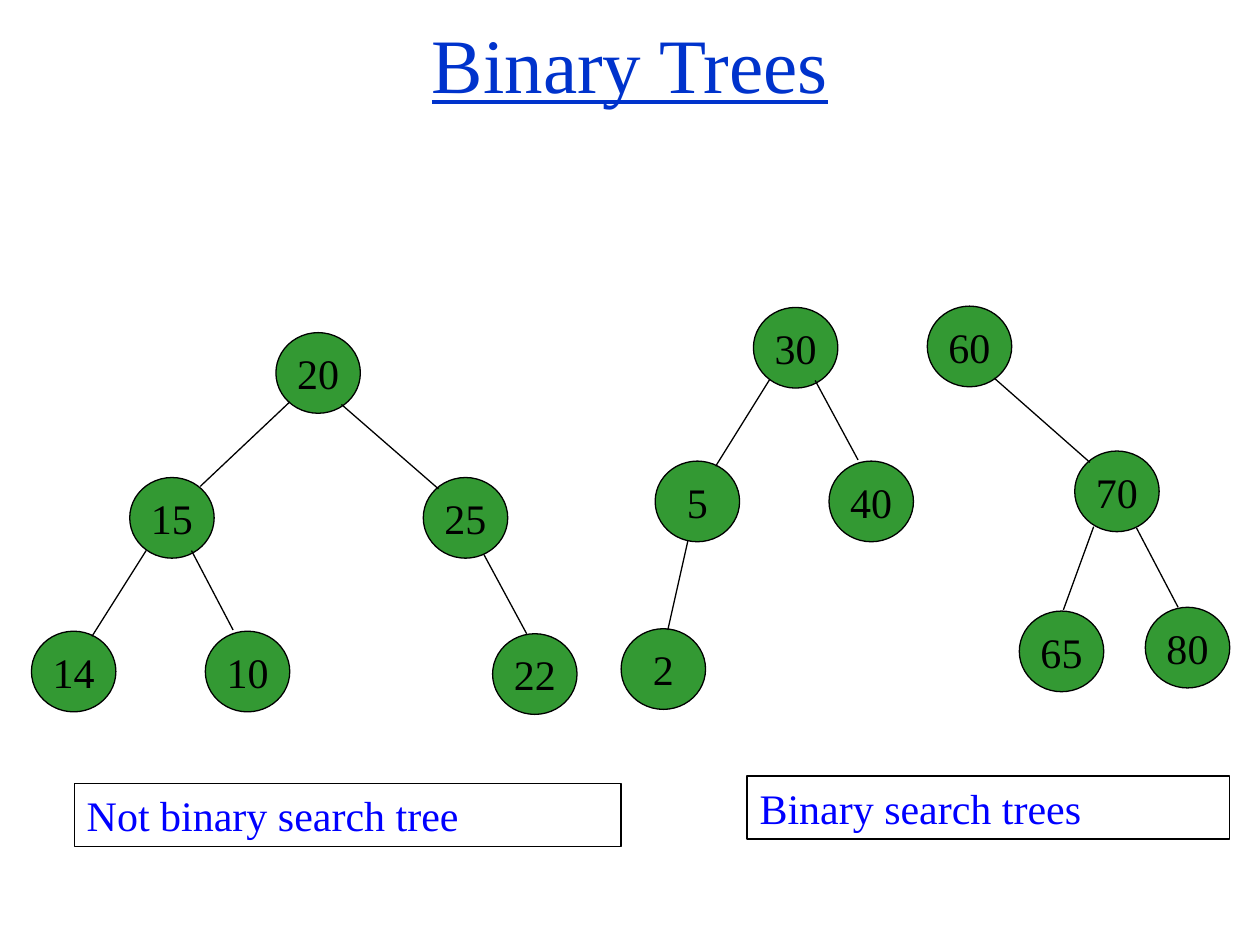
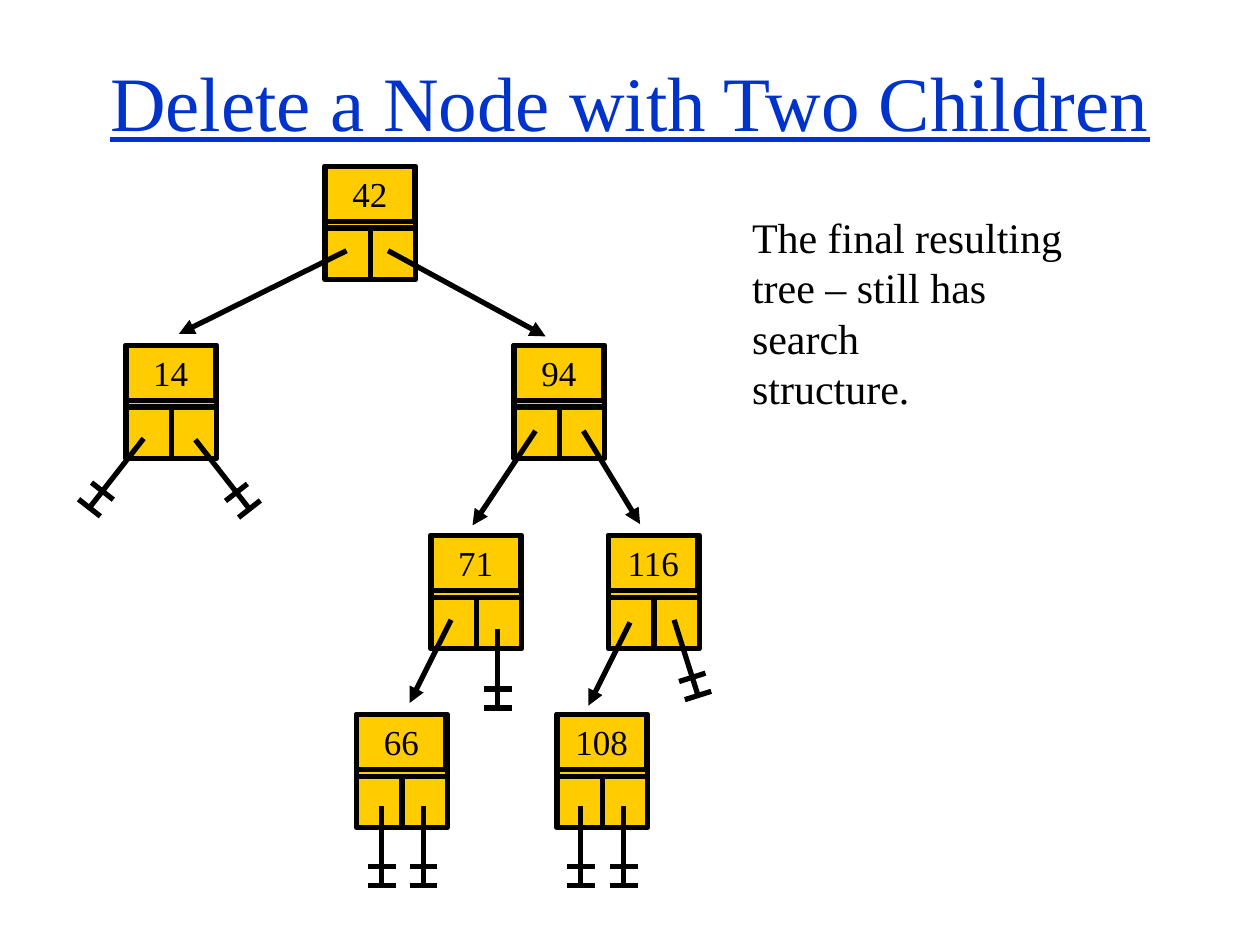
import math
from lxml import etree
from pptx import Presentation
from pptx import util as u
from pptx.dml.color import RGBColor
from pptx.enum import shapes, text
from pptx.oxml.ns import qn

PX = 9144  # 100 px to the inch
FONT = "Times New Roman"
BLACK = RGBColor(0x00, 0x00, 0x00)
TITLE_BLUE = RGBColor(0x00, 0x33, 0xCC)
LABEL_BLUE = RGBColor(0x00, 0x00, 0xFF)
GREEN = RGBColor(0x33, 0x99, 0x33)
YELLOW = RGBColor(0xFF, 0xCC, 0x00)
THIN, THICK = 0.75, 3

# Slide 1: circles as (value, left, top), lines as (x1, y1, x2, y2)
CIRCLE = (67, 64)
CIRCLES = [
    ("20", 219, 264), ("15", 103, 379), ("25", 336, 379),
    ("14", 25, 501), ("10", 163, 501), ("22", 391, 503),
    ("30", 598, 244), ("5", 520, 366), ("40", 658, 366), ("2", 493, 499),
    ("60", 736, 243), ("70", 853, 358), ("80", 909, 482), ("65", 809, 485),
]
BRANCHES = [
    (230, 319, 159, 386), (271, 321, 348, 388), (116, 437, 73, 505),
    (152, 437, 185, 500), (384, 440, 418, 503),
    (611, 301, 568, 370), (647, 302, 681, 365), (546, 429, 530, 500),
    (789, 300, 865, 367), (902, 419, 935, 482), (868, 418, 844, 484),
]
CAPTIONS = [
    ("Not binary search tree", (59, 622, 434, 50)),
    ("Binary search trees", (593, 616, 383, 50)),
]

# Slide 2: records with a value field above two pointer fields
RECORDS = [
    ("14", 100, 274), ("42", 258, 132), ("94", 408, 274), ("71", 342, 425),
    ("116", 483, 425), ("108", 442, 567), ("66", 283, 567),
]
FIELDS = [(0, 0, 72, 49), (0, 49, 36, 41), (36, 49, 36, 41)]
VALUE_FIELD = (0, 0, 71, 44)
POINTERS = [
    (275, 199, 142, 265), (308, 199, 433, 267), (425, 342, 375, 417),
    (463, 342, 508, 416), (358, 492, 325, 558), (500, 494, 467, 560),
]
NULLS = [
    (303, 640, 303, 703), (336, 640, 336, 703), (395, 499, 395, 562),
    (461, 640, 461, 703), (535, 492, 554, 552), (495, 640, 495, 703),
    (114, 348, 71, 403), (155, 349, 198, 404),
]
BAR_PLACES, BAR_HALF = (0.76, 1), 11
REMARK = "The final resulting\ntree – still has search\nstructure."


def px(values):
    return [u.Emu(round(v * PX)) for v in values]


def write(sp, words, size, color=BLACK, align=text.PP_ALIGN.LEFT,
          anchor=text.MSO_ANCHOR.TOP, wrap=True, underline=False):
    tf = sp.text_frame
    tf.word_wrap, tf.vertical_anchor = wrap, anchor
    p = tf.paragraphs[0]
    p.text, p.alignment = words, align
    p.font.size = u.Pt(size)
    for r in p.runs:
        r.font.name, r.font.size = FONT, u.Pt(size)
        r.font.color.rgb, r.font.underline = color, underline


def add_title(s, words, box):
    write(s.shapes.add_textbox(*px(box)), words, 44, TITLE_BLUE,
          text.PP_ALIGN.CENTER, text.MSO_ANCHOR.MIDDLE, underline=True)


def add_box(parent, kind, box, fill, width):
    sp = parent.shapes.add_shape(kind, *px(box))
    sp.shadow.inherit = False
    if fill is None:
        sp.fill.background()
    else:
        sp.fill.solid()
        sp.fill.fore_color.rgb = fill
    sp.line.color.rgb, sp.line.width = BLACK, u.Pt(width)
    return sp


def add_line(parent, ends, width, arrow=False):
    c = parent.shapes.add_connector(shapes.MSO_CONNECTOR.STRAIGHT, *px(ends))
    c.line.color.rgb, c.line.width = BLACK, u.Pt(width)
    if arrow:
        etree.SubElement(c.line._get_or_add_ln(), qn("a:tailEnd"), type="triangle")
    etree.SubElement(c._element.spPr, qn("a:effectLst"))


def add_record(s, value, x, y):
    group = s.shapes.add_group_shape()
    for dx, dy, w, h in FIELDS + [VALUE_FIELD]:
        sp = add_box(group, shapes.MSO_SHAPE.RECTANGLE, (x + dx, y + dy, w, h), YELLOW, THICK)
    write(sp, value, 20, align=text.PP_ALIGN.CENTER)


def add_null(s, x1, y1, x2, y2):
    """A pointer that ends in two bars across it."""
    group = s.shapes.add_group_shape()
    add_line(group, (x1, y1, x2, y2), THICK)
    dx, dy = x2 - x1, y2 - y1
    length = math.hypot(dx, dy)
    bx, by = BAR_HALF * dy / length, -BAR_HALF * dx / length
    for place in BAR_PLACES:
        cx, cy = x1 + place * dx, y1 + place * dy
        add_line(group, (cx - bx, cy - by, cx + bx, cy + by), THICK)


def binary_trees(s):
    add_title(s, "Binary Trees", (0, 0, 1000, 100))
    for value, x, y in CIRCLES:
        sp = add_box(s, shapes.MSO_SHAPE.OVAL, (x, y, *CIRCLE), GREEN, THIN)
        write(sp, value, 24, align=text.PP_ALIGN.CENTER,
              anchor=text.MSO_ANCHOR.MIDDLE, wrap=False)
    for ends in BRANCHES:
        add_line(s, ends, THIN)
    for words, box in CAPTIONS:
        sp = add_box(s, shapes.MSO_SHAPE.RECTANGLE, box, None, THIN)
        write(sp, words, 24, LABEL_BLUE)


def delete_node(s):
    add_title(s, "Delete a Node with Two Children", (75, 42, 850, 75))
    for record in RECORDS:
        add_record(s, *record)
    for ends in POINTERS:
        add_line(s, ends, THICK, arrow=True)
    for ends in NULLS:
        add_null(s, *ends)
    write(s.shapes.add_textbox(*px((587, 163, 299, 130))), REMARK, 24, wrap=False)


def main():
    prs = Presentation()
    prs.slide_width, prs.slide_height = px((1000, 750))
    for build in (binary_trees, delete_node):
        build(prs.slides.add_slide(prs.slide_layouts[6]))
    prs.save("out.pptx")


if __name__ == "__main__":
    main()
